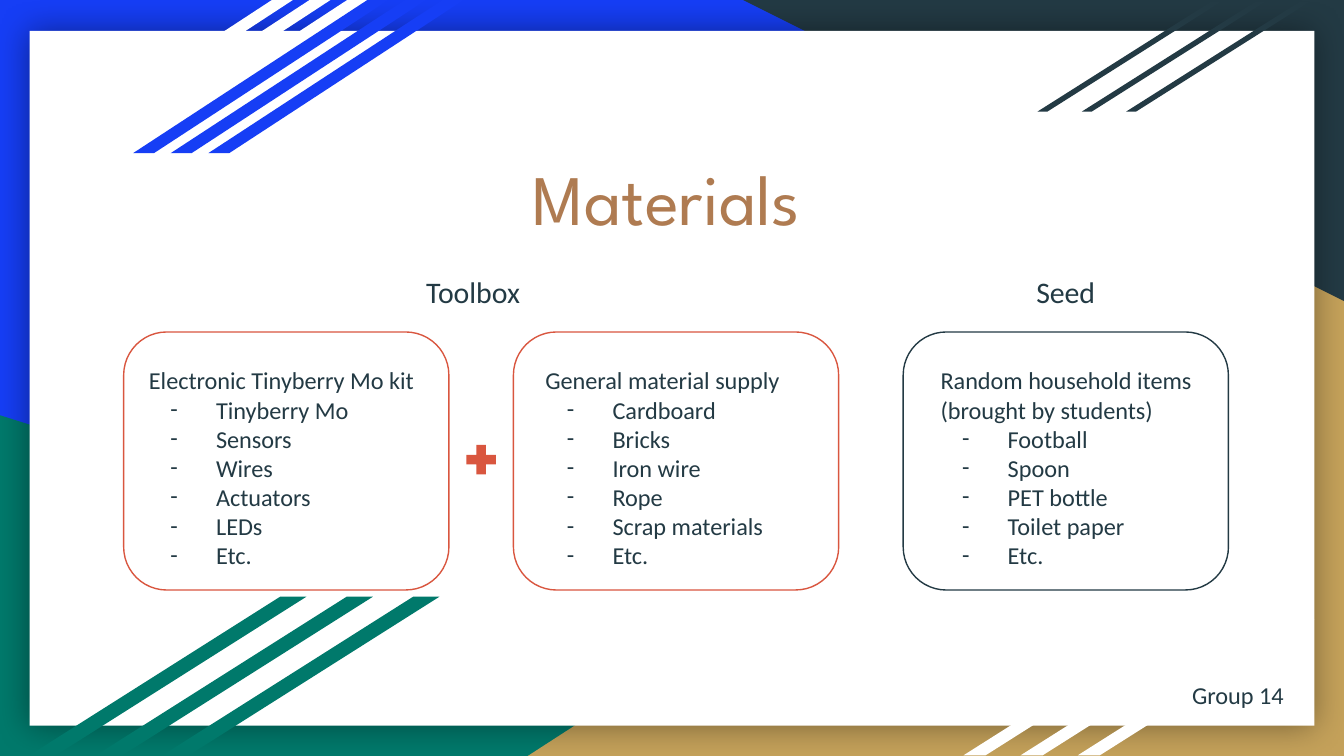
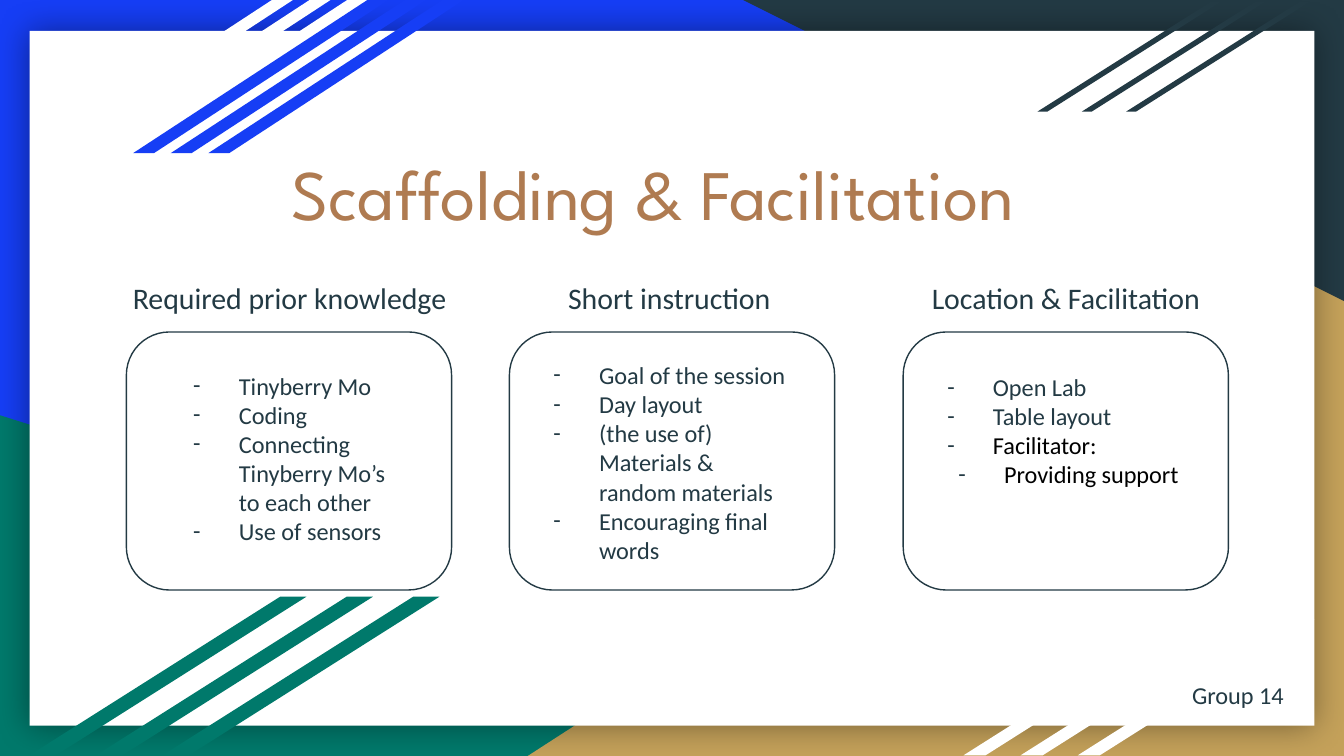
from lxml import etree
from pptx import Presentation
from pptx.dml.color import RGBColor
from pptx.enum.shapes import MSO_SHAPE
from pptx.enum.text import MSO_ANCHOR, PP_ALIGN
from pptx.oxml.ns import qn
from pptx.util import Emu, Pt

EMU_PER_PX = 9144  # 100 px to the inch
WIDTH = 1000

COLOURS = {
    "blue": "163EF5",
    "green": "00796B",
    "gold": "C4A15A",
    "slate": "233A44",
    "white": "FFFFFF",
    "copper": "AF7B51",
    "coral": "D9563F",
    "black": "000000",
}
TITLE_FONT, BODY_FONT = "League Spartan", "Calibri"
TITLE_SIZE, HEADING_SIZE, BODY_SIZE = 38, 16, 13

TRIANGLE = MSO_SHAPE.RIGHT_TRIANGLE
PARALLELOGRAM = MSO_SHAPE.PARALLELOGRAM
RECTANGLE = MSO_SHAPE.RECTANGLE
ROUNDED = MSO_SHAPE.ROUNDED_RECTANGLE
PLUS = MSO_SHAPE.MATH_PLUS
LEFT, CENTER = PP_ALIGN.LEFT, PP_ALIGN.CENTER
TOP, MIDDLE = MSO_ANCHOR.TOP, MSO_ANCHOR.MIDDLE

CARD_TOP, CARD_WIDTH, CARD_HEIGHT = 247, 242, 192
TEXT_INSET = 10
DASH_MARGIN, DASH_INDENT = 50, -34

# left, top, width, height, step to the next stripe, slant, colour
STRIPES = [
    (28, 0, 190, 114, 28, 1.53, "white"),
    (99, 0, 190, 114, 28, 1.53, "blue"),
    (772, 1, 137, 82, 33, 1.58, "slate"),
    (717, 461, 176, 101, 42.5, 1.58, "white"),
    (22, 444, 206, 118, 49.5, 1.58, "green"),
]


def px(length):
    return Emu(round(length * EMU_PER_PX))


def colour_of(name):
    return RGBColor.from_string(COLOURS[name])


def add_preset(shapes, kind, at, fill=None, line=None, adjust=None):
    shape = shapes.add_shape(kind, *map(px, at))
    shape.shadow.inherit = False
    if fill:
        shape.fill.solid()
        shape.fill.fore_color.rgb = colour_of(fill)
    else:
        shape.fill.background()
    if line:
        shape.line.color.rgb = colour_of(line)
        shape.line.width = Pt(0.75)
    else:
        shape.line.fill.background()
    if adjust is not None:
        shape.adjustments[0] = adjust
    return shape


def add_glow(shape):
    """Surround the shape with a soft dark shadow."""
    effects = shape._element.spPr.find(qn("a:effectLst"))
    shadow = etree.SubElement(effects, qn("a:outerShdw"), blurRad=str(Pt(18)),
                              dist="0", dir="0", algn="ctr", rotWithShape="0")
    colour = etree.SubElement(shadow, qn("a:srgbClr"), val=COLOURS["black"])
    etree.SubElement(colour, qn("a:alpha"), val="40000")


def add_stripes(page, left, top, width, height, step, slant, colour):
    group = page.shapes.add_group_shape()
    for number in (2, 1, 0):
        add_preset(group.shapes, PARALLELOGRAM,
                   (left + number * step, top, width, height), colour, adjust=slant)


def add_text_box(page, at, anchor=TOP):
    box = page.shapes.add_textbox(*map(px, at))
    frame = box.text_frame
    frame.word_wrap = True
    frame.vertical_anchor = anchor
    frame.margin_left = frame.margin_right = px(TEXT_INSET)
    frame.margin_top = frame.margin_bottom = px(TEXT_INSET)
    return box


def add_dash(para):
    properties = para._p.get_or_add_pPr()
    properties.set("marL", str(px(DASH_MARGIN)))
    properties.set("indent", str(px(DASH_INDENT)))
    colour = etree.SubElement(properties, qn("a:buClr"))
    etree.SubElement(colour, qn("a:srgbClr"), val=COLOURS["slate"])
    etree.SubElement(properties, qn("a:buFont"), typeface=BODY_FONT)
    etree.SubElement(properties, qn("a:buChar"), char="-")


def add_line(box, text, size=BODY_SIZE, font=BODY_FONT, colour="slate",
             align=LEFT, dash=False):
    frame = box.text_frame
    para = frame.paragraphs[0]
    if para.runs:
        para = frame.add_paragraph()
    para.alignment = align
    if dash:
        add_dash(para)
    span = para.add_run()
    span.text = text
    span.font.size = Pt(size)
    span.font.name = font
    span.font.color.rgb = colour_of(colour)


def add_title(page, at, text, align):
    box = add_text_box(page, at, MIDDLE)
    add_line(box, text, TITLE_SIZE, TITLE_FONT, "copper", align)


def add_heading(page, at, text):
    add_line(add_text_box(page, at), text, HEADING_SIZE, align=CENTER)


def add_card(page, left, line="slate"):
    add_preset(page.shapes, ROUNDED, (left, CARD_TOP, CARD_WIDTH, CARD_HEIGHT),
               line=line, adjust=0.167)


def add_list(page, at, items, intro=None):
    box = add_text_box(page, at)
    if intro:
        add_line(box, intro)
    for item in items:
        add_line(box, item, dash=True)
    return box


def add_page(deck):
    """Add a slide with the coloured corners, panel, stripes and group name."""
    page = deck.slides.add_slide(deck.slide_layouts[6])
    page.background.fill.solid()
    page.background.fill.fore_color.rgb = colour_of("blue")
    add_preset(page.shapes, TRIANGLE, (0, 309, 806, 254), "green")
    gold_corner = add_preset(page.shapes, TRIANGLE, (392, 170, 608, 393), "gold")
    gold_corner._element.spPr.find(qn("a:xfrm")).set("flipH", "1")
    slate_corner = add_preset(page.shapes, TRIANGLE, (553, 0, 447, 224), "slate")
    slate_corner.rotation = 180
    add_glow(add_preset(page.shapes, RECTANGLE, (22, 23, 956, 517), "white"))
    for stripes in STRIPES:
        add_stripes(page, *stripes)
    add_line(add_text_box(page, (862, 496, 118, 34)), "Group 14", align=CENTER)
    return page


def build_materials(deck):
    page = add_page(deck)
    add_title(page, (203, 68, 586, 158), "Materials", CENTER)
    for left, text in ((279, "Toolbox"), (720, "Seed")):
        add_heading(page, (left, 194, 146, 57), text)
    supplies = [
        (101, "coral", "Electronic Tinyberry Mo kit",
         ["Tinyberry Mo", "Sensors", "Wires", "Actuators", "LEDs", "Etc."]),
        (396, "coral", "General material supply",
         ["Cardboard", "Bricks", "Iron wire", "Rope", "Scrap materials", "Etc."]),
        (690, "slate", "Random household items (brought by students)",
         ["Football", "Spoon", "PET bottle", "Toilet paper", "Etc."]),
    ]
    for column, (left, line, intro, items) in enumerate(supplies):
        add_card(page, 92 + 290 * column, line)
        add_list(page, (left, 262, 224, 119), items, intro)
    add_preset(page.shapes, PLUS, (343, 327, 30, 30), "coral", adjust=0.235)


def build_scaffolding(deck):
    page = add_page(deck)
    add_title(page, (207, 64, 662, 158), "Scaffolding & Facilitation", LEFT)
    headings = [
        (79, 273, "Required prior knowledge"),
        (377, 242, "Short instruction"),
        (679, 228, "Location & Facilitation"),
    ]
    for left, width, text in headings:
        add_heading(page, (left, 198, width, 57), text)
    for left in (94, 379, 672):
        add_card(page, left)
    add_list(page, (118, 266, 186, 130),
             ["Tinyberry Mo", "Coding", "Connecting Tinyberry Mo’s to each other",
              "Use of sensors"])
    add_list(page, (386, 258, 216, 130),
             ["Goal of the session", "Day layout",
              "(the use of) Materials & random materials",
              "Encouraging final words"])
    location = add_list(page, (679, 267, 216, 153), ["Open Lab", "Table layout"])
    add_line(location, "Facilitator:", colour="black", dash=True)
    add_line(location, "Providing support", colour="black", align=CENTER, dash=True)


def main():
    deck = Presentation()
    deck.slide_width = px(WIDTH)
    deck.slide_height = px(WIDTH * 9 / 16)
    build_materials(deck)
    build_scaffolding(deck)
    deck.save("out.pptx")


if __name__ == "__main__":
    main()
